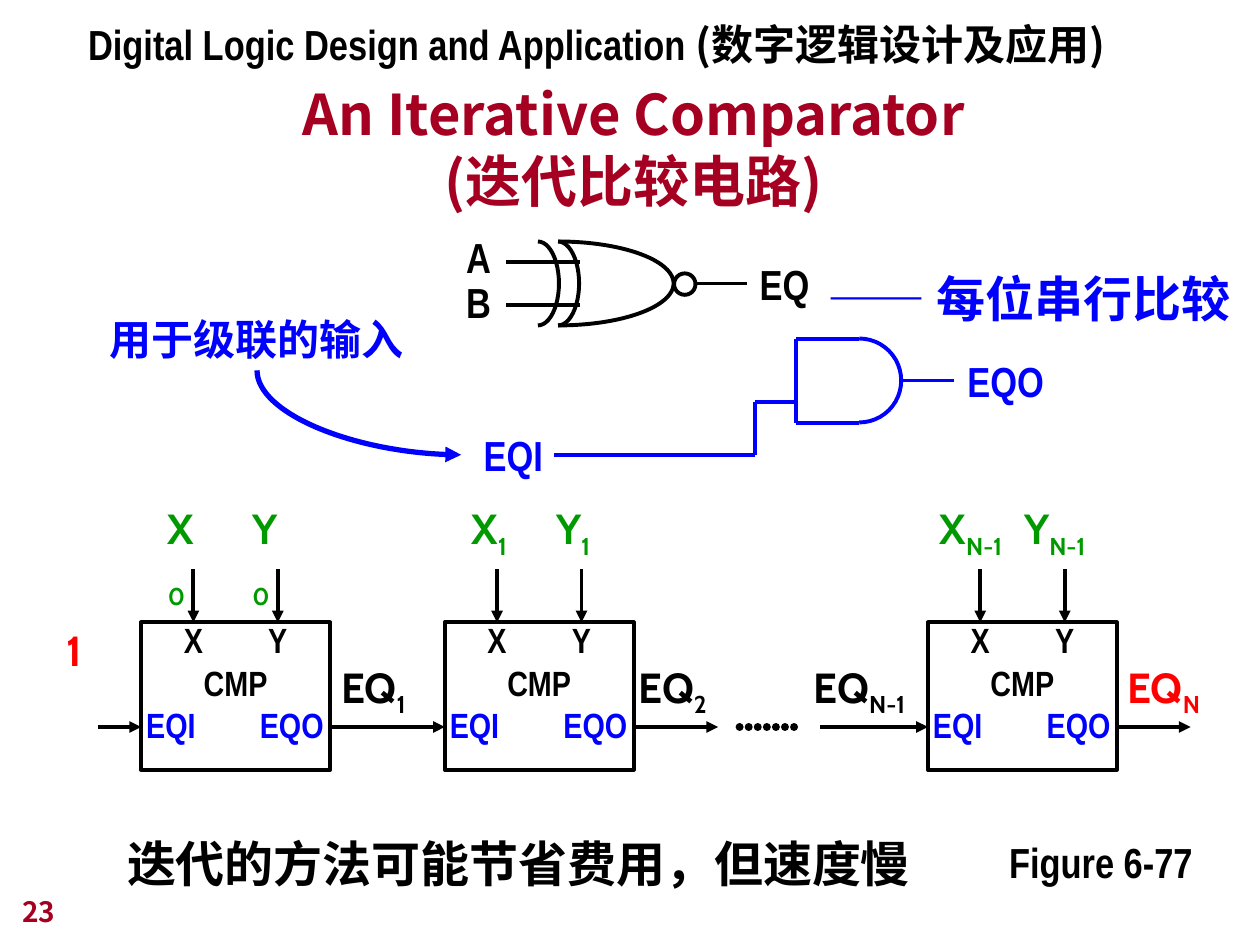
"""Build the iterative comparator slide on a grid of 100 columns by 75 rows."""
from dataclasses import dataclass

from lxml import etree
from pptx import Presentation
from pptx import util as u
from pptx.dml.color import RGBColor
from pptx.enum import shapes, text
from pptx.oxml.ns import qn

COLUMNS, ROWS, CELL = 100, 75, 0.1
COLORS = {"black": "000000", "blue": "0000FF", "green": "009900",
          "red": "FF0000", "maroon": "A50021"}
NARROW, ROUNDED, CJK = "Arial Narrow", "Cabin", "Noto Sans CJK JP"
BLOCK_TOP, BLOCK_WIDTH, BLOCK_HEIGHT = 49.4, 15, 11.7
PINS, PIN_RISE, BUS = (4.15, 10.85), 4.2, 57.7
BLOCK_INSET = 0.4
GATE_RADIUS = 3.33


@dataclass(frozen=True)
class Label:
    """A line of text, with an optional subscript, on the grid."""
    words: str
    left: float
    top: float
    width: float
    height: float = 5
    color: str = "black"
    font: str = NARROW
    size: int = 24
    subscript: str = ""
    wrap: bool = False


@dataclass(frozen=True)
class Wire:
    """A straight line between two grid points."""
    x1: float
    y1: float
    x2: float
    y2: float
    color: str = "black"
    arrow: bool = False


@dataclass(frozen=True)
class Stage:
    """A comparator block, the index of its inputs and how their labels sit."""
    left: float
    index: str
    label_shift: float = 3
    label_width: float = 5.3


STAGES = (Stage(11.2, "0"), Stage(35.3, "1"), Stage(73.65, "N-1", 4.2, 7.5))


def grid(cells: float) -> int:
    """Turn grid cells into a length."""
    return u.Inches(cells * CELL)


def color(name: str) -> RGBColor:
    """Look up a named colour."""
    return RGBColor.from_string(COLORS[name])


def add_span(para, words: str, font: str, size: int, tint: str, subscript: bool = False) -> None:
    """Add one bold run."""
    span = para.add_run()
    span.text = words
    span.font.name, span.font.size, span.font.bold = font, u.Pt(size), True
    span.font.color.rgb = color(tint)
    properties = span.font._element
    etree.SubElement(properties, qn("a:ea")).set("typeface", CJK)
    if subscript:
        properties.set("baseline", "-25000")


def add_label(page, label: Label):
    """Add a text box and return its frame."""
    box = page.shapes.add_textbox(*map(grid, (label.left, label.top, label.width, label.height)))
    frame = box.text_frame
    frame.word_wrap = label.wrap
    frame.auto_size = text.MSO_AUTO_SIZE.SHAPE_TO_FIT_TEXT
    para = frame.paragraphs[0]
    add_span(para, label.words, label.font, label.size, label.color)
    if label.subscript:
        add_span(para, label.subscript, label.font, label.size, label.color, True)
    return frame


def add_wire(page, wire: Wire, weight: float = 2.25, kind=shapes.MSO_CONNECTOR.STRAIGHT):
    """Add a connector, with an arrowhead at its end if asked."""
    line = page.shapes.add_connector(kind, *map(grid, (wire.x1, wire.y1, wire.x2, wire.y2)))
    line.line.color.rgb, line.line.width = color(wire.color), u.Pt(weight)
    if wire.arrow:
        etree.SubElement(line.line._get_or_add_ln(), qn("a:tailEnd")).set("type", "triangle")
    etree.SubElement(line._element.spPr, qn("a:effectLst"))
    return line


def add_outline(page, kind, left: float, top: float, width: float, height: float, tint="black"):
    """Add an unfilled preset shape."""
    shape = page.shapes.add_shape(kind, *map(grid, (left, top, width, height)))
    shape.shadow.inherit = False
    shape.fill.background()
    shape.line.color.rgb, shape.line.width = color(tint), u.Pt(2.25)
    return shape


def add_bow(page, center: float, middle: float, radius: float, tint: str = "black") -> None:
    """Add the right half of an ellipse as tall as a gate."""
    bow = add_outline(page, shapes.MSO_SHAPE.ARC, center - radius, middle - GATE_RADIUS,
                      2 * radius, 2 * GATE_RADIUS, tint)
    bow.adjustments[0], bow.adjustments[1] = 162, 54


def set_tabs(para, stops: tuple) -> None:
    """Give a paragraph tab stops as pairs of position and alignment."""
    tabs = etree.SubElement(para._p.get_or_add_pPr(), qn("a:tabLst"))
    for position, align in stops:
        etree.SubElement(tabs, qn("a:tab"), pos=str(grid(position)), algn=align)


def add_stage(page, stage: Stage) -> None:
    """Add a comparator block with its inputs."""
    block = add_outline(page, shapes.MSO_SHAPE.RECTANGLE, stage.left, BLOCK_TOP,
                        BLOCK_WIDTH, BLOCK_HEIGHT)
    frame = block.text_frame
    frame.word_wrap, frame.vertical_anchor = True, text.MSO_ANCHOR.TOP
    frame.margin_left = frame.margin_right = grid(BLOCK_INSET)
    frame.margin_top = grid(0.1)
    centers = tuple((pin - BLOCK_INSET, "ctr") for pin in PINS)
    edge = ((BLOCK_WIDTH - 2 * BLOCK_INSET - 0.1, "r"),)
    rows = (("\tX\tY", "black", centers), ("CMP", "black", ()), ("EQI\tEQO", "blue", edge))
    for number, (words, tint, stops) in enumerate(rows):
        para = frame.add_paragraph() if number else frame.paragraphs[0]
        para.alignment = text.PP_ALIGN.LEFT if stops else text.PP_ALIGN.CENTER
        para.line_spacing = 1.0 if number else 0.9
        if stops:
            set_tabs(para, stops)
        add_span(para, words, NARROW, 20, tint)
    for name, pin in zip("XY", PINS):
        x = stage.left + pin
        add_wire(page, Wire(x, BLOCK_TOP - PIN_RISE, x, BLOCK_TOP, arrow=True))
        add_label(page, Label(name, x - stage.label_shift, 39.4, stage.label_width, 5.6, "green",
                              ROUNDED, subscript=stage.index, wrap=stage.index == "0"))


def add_chain(page) -> None:
    """Add the row of comparators and the signals between them."""
    for stage in STAGES:
        add_stage(page, stage)
    first, second, last = (stage.left for stage in STAGES)
    for start, end in ((7.8, first), (first + BLOCK_WIDTH, second), (second + BLOCK_WIDTH, 57),
                       (65.1, last), (last + BLOCK_WIDTH, 94.5)):
        add_wire(page, Wire(start, BUS, end, BUS, arrow=True))
    dots = add_wire(page, Wire(58.7, BUS, 63.7, BUS), 4.5).line._get_or_add_ln()
    dots.set("cap", "rnd")
    dashes = etree.SubElement(dots, qn("a:custDash"))
    etree.SubElement(dashes, qn("a:ds"), d="100000", sp="15000")
    for index, left, width, tint in (("1", 26.1, 7.6, "black"), ("2", 49.7, 7.6, "black"),
                                     ("N-1", 63.6, 9.8, "black"), ("N", 88.5, 8.1, "red")):
        add_label(page, Label("EQ", left, 52, width, 5.6, tint, ROUNDED, subscript=index))
    add_label(page, Label("1", 4.3, 49.1, 3.9, color="red", font=ROUNDED))


def add_gates(page) -> None:
    """Add the XNOR gate, the AND gate and the cascading input."""
    for center, radius in ((42.7, 1.67), (44.3, 1.67), (44.3, 9.17)):
        add_bow(page, center, 22.5, radius)
    add_outline(page, shapes.MSO_SHAPE.OVAL, 53.5, 21.7, 1.7, 1.7)
    add_bow(page, 68.2, 30.2, GATE_RADIUS, "blue")
    for ends in ((40.2, 20.8, 46, 20.8), (40.2, 24.2, 46, 24.2), (55.2, 22.5, 59.3, 22.5)):
        add_wire(page, Wire(*ends))
    for ends in ((68.2, 26.9, 63.2, 26.9), (68.2, 33.6, 63.2, 33.6), (63.2, 26.9, 63.2, 33.6),
                 (71.6, 30.2, 75.7, 30.2), (63.2, 31.9, 59.9, 31.9), (59.9, 31.9, 59.9, 36.1),
                 (59.9, 36.1, 44, 36.1)):
        add_wire(page, Wire(*ends, color="blue"))
    curve = add_wire(page, Wire(36.6, 36.1, 20.4, 29.4, "blue"), 3, shapes.MSO_CONNECTOR.CURVE)
    curve._element.spPr.find(qn("a:prstGeom")).set("prst", "curvedConnector2")
    etree.SubElement(curve.line._get_or_add_ln(), qn("a:headEnd")).set("type", "triangle")
    inputs = add_label(page, Label("A", 36, 18.3, 3.9, 8.2))
    add_span(inputs.add_paragraph(), "B", NARROW, 24, "black")
    for para in inputs.paragraphs:
        para.line_spacing = 0.9


def add_texts(page) -> None:
    """Add the title, the header and the remaining labels."""
    title = page.shapes.title
    title.left, title.top, title.width, title.height = map(grid, (7.8, 9.2, 85, 8.3))
    title.text_frame.vertical_anchor = text.MSO_ANCHOR.BOTTOM
    title.text_frame.auto_size = text.MSO_AUTO_SIZE.NONE
    para = title.text_frame.paragraphs[0]
    para.alignment, para.line_spacing = text.PP_ALIGN.CENTER, 1.0
    add_span(para, "An Iterative Comparator", CJK, 32, "maroon")
    para.add_line_break()
    add_span(para, "(迭代比较电路)", CJK, 32, "maroon")
    header = add_label(page, Label("Digital Logic Design and Application ", 6, 1, 84.1, wrap=True))
    add_span(header.paragraphs[0], "(数字逻辑设计及应用)", CJK, 24, "black")
    for label in (Label("EQ", 59.3, 20, 6.5), Label("EQO", 75.8, 27.7, 8.1, color="blue"),
                  Label("EQI", 37.4, 33.6, 6.9, color="blue"),
                  Label("—— 每位串行比较", 64.7, 20.8, 35.2, 5.7, "blue", CJK, 28),
                  Label("用于级联的输入", 7.7, 24.4, 25.5, color="blue"),
                  Label("迭代的方法可能节省费用，但速度慢", 9.1, 65.7, 64.5, 5.7, size=28),
                  Label("Figure 6-77", 79.1, 65.9, 16.8),
                  Label("23", 0.8, 70.5, 20.8, 3.7, "maroon", CJK, 16, wrap=True)):
        add_label(page, label)


def main() -> None:
    """Build and save the deck."""
    deck = Presentation()
    deck.slide_width, deck.slide_height = grid(COLUMNS), grid(ROWS)
    page = deck.slides.add_slide(deck.slide_layouts[5])
    add_chain(page)
    add_gates(page)
    add_texts(page)
    deck.save("out.pptx")


if __name__ == "__main__":
    main()
